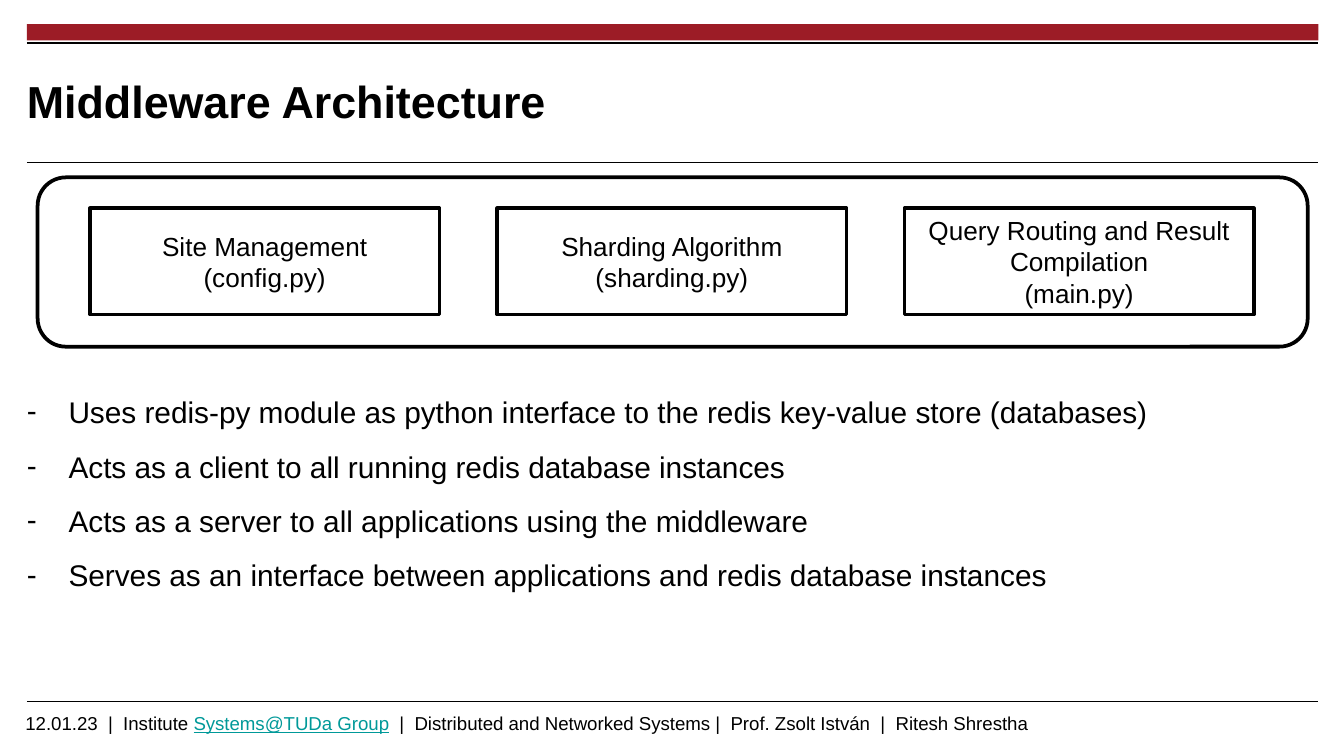
from lxml import etree
from pptx import Presentation
from pptx import util as u
from pptx.dml.color import RGBColor
from pptx.enum import shapes, text
from pptx.oxml.ns import qn

BLACK, WHITE, RED, TEAL = "000000", "FFFFFF", "9C1C26", "009999"
FONT = "Arial"
CELL = 0.1  # grid of 100 columns and 56.25 rows (16:9), in inches
LEFT, WIDTH = 2, 96.1


def rgb(value):
    return RGBColor.from_string(value)


def grid(*cells):
    return [u.Inches(round(c * CELL, 3)) for c in cells]


def add_dash(p, indent):
    """Give a paragraph a hanging dash bullet."""
    pPr = p._p.get_or_add_pPr()
    pPr.set("marL", str(u.Inches(indent)))
    pPr.set("indent", str(-u.Inches(indent)))
    etree.SubElement(pPr, qn("a:buFont")).set("typeface", FONT)
    etree.SubElement(pPr, qn("a:buChar")).set("char", "-")


def write(tf, paragraphs, size, bold=False, align=text.PP_ALIGN.LEFT,
          anchor=text.MSO_ANCHOR.TOP, insets=(0.1, 0.05), dash=None,
          spacing=None, before=0, after=0):
    """Fill a frame; a paragraph is a string or a list of (text, colour, underline)."""
    tf.word_wrap = True
    tf.auto_size = text.MSO_AUTO_SIZE.NONE
    tf.vertical_anchor = anchor
    tf.margin_left = tf.margin_right = u.Inches(insets[0])
    tf.margin_top = tf.margin_bottom = u.Inches(insets[1])
    for i, runs in enumerate(paragraphs):
        p = tf.add_paragraph() if i else tf.paragraphs[0]
        if dash:
            add_dash(p, dash)
        p.alignment = align
        p.line_spacing = spacing
        p.space_before = u.Pt(before if i else 0)
        p.space_after = u.Pt(after)
        if isinstance(runs, str):
            runs = [(runs, BLACK, False)]
        for words, color, underline in runs:
            r = p.add_run()
            r.text = words
            r.font.name, r.font.size, r.font.bold = FONT, u.Pt(size), bold
            r.font.underline = underline
            r.font.color.rgb = rgb(color)


class Deck:
    """Holds the presentation's style and its current slide."""

    def __init__(self):
        self.prs = Presentation()
        self.prs.slide_width, self.prs.slide_height = grid(100, 56.25)

    def new_slide(self):
        self.s = self.prs.slides.add_slide(self.prs.slide_layouts[1])

    def placeholder(self, idx, box, paragraphs, **style):
        sp = self.s.placeholders[idx]
        sp.left, sp.top, sp.width, sp.height = grid(*box)
        write(sp.text_frame, paragraphs, **style)

    def box(self, kind, box, fill=WHITE, line=None, paragraphs=(), **style):
        sp = self.s.shapes.add_shape(kind, *grid(*box))
        sp.shadow.inherit = False
        sp.fill.solid()
        sp.fill.fore_color.rgb = rgb(fill)
        if line:
            sp.line.color.rgb = rgb(BLACK)
            sp.line.width = u.Pt(line)
        else:
            sp.line.fill.background()
        if paragraphs:
            write(sp.text_frame, paragraphs, **style)

    def rule(self, row, width):
        """Draw a horizontal line across the content width."""
        c = self.s.shapes.add_connector(
            shapes.MSO_CONNECTOR.STRAIGHT, *grid(LEFT, row, LEFT + WIDTH, row))
        c.line.color.rgb = rgb(BLACK)
        c.line.width = u.Pt(width)
        etree.SubElement(c._element.spPr, qn("a:effectLst"))

    def label(self, box, paragraphs, **style):
        write(self.s.shapes.add_textbox(*grid(*box)).text_frame, paragraphs, **style)


def main():
    rect = shapes.MSO_SHAPE.RECTANGLE
    middle = text.MSO_ANCHOR.MIDDLE
    deck = Deck()
    deck.new_slide()

    deck.box(rect, (LEFT, 1.8, WIDTH, 1.2), fill=RED)
    for row, width in ((3.2, 1.2), (12.1, 0.6), (52.2, 0.6)):
        deck.rule(row, width)
    deck.label((0.9, 52.5, 79.5, 1.9), [[
        ("12.01.23  |  Institute ", BLACK, False),
        ("Systems@TUDa Group", TEAL, True),
        ("  |  Distributed and Networked Systems |  Prof. Zsolt István"
         "  |  Ritesh Shrestha", BLACK, False),
    ]], size=10)

    deck.placeholder(0, (LEFT, 4, 74.6, 6.9), ["Middleware Architecture"],
                     size=24, bold=True, anchor=middle, insets=(0, 0))

    deck.box(shapes.MSO_SHAPE.ROUNDED_RECTANGLE, (2.8, 13.2, 94.5, 12.6), line=2)
    modules = [
        ("Site Management", "(config.py)"),
        ("Sharding Algorithm", "(sharding.py)"),
        ("Query Routing and Result Compilation", "(main.py)"),
    ]
    for i, module in enumerate(modules):
        deck.box(rect, (6.7 + 30.3 * i, 15.5, 26, 7.9), line=2, paragraphs=module,
                 size=14, align=text.PP_ALIGN.CENTER, anchor=middle)

    deck.placeholder(1, (LEFT, 28, WIDTH, 24.2), [
        "Uses redis-py module as python interface to the redis key-value store (databases)",
        "Acts as a client to all running redis database instances",
        "Acts as a server to all applications using the middleware",
        "Serves as an interface between applications and redis database instances",
    ], size=16, insets=(0, 0.05), dash=0.31, spacing=1.3, before=2, after=2.2)

    deck.prs.save("out.pptx")


if __name__ == "__main__":
    main()
